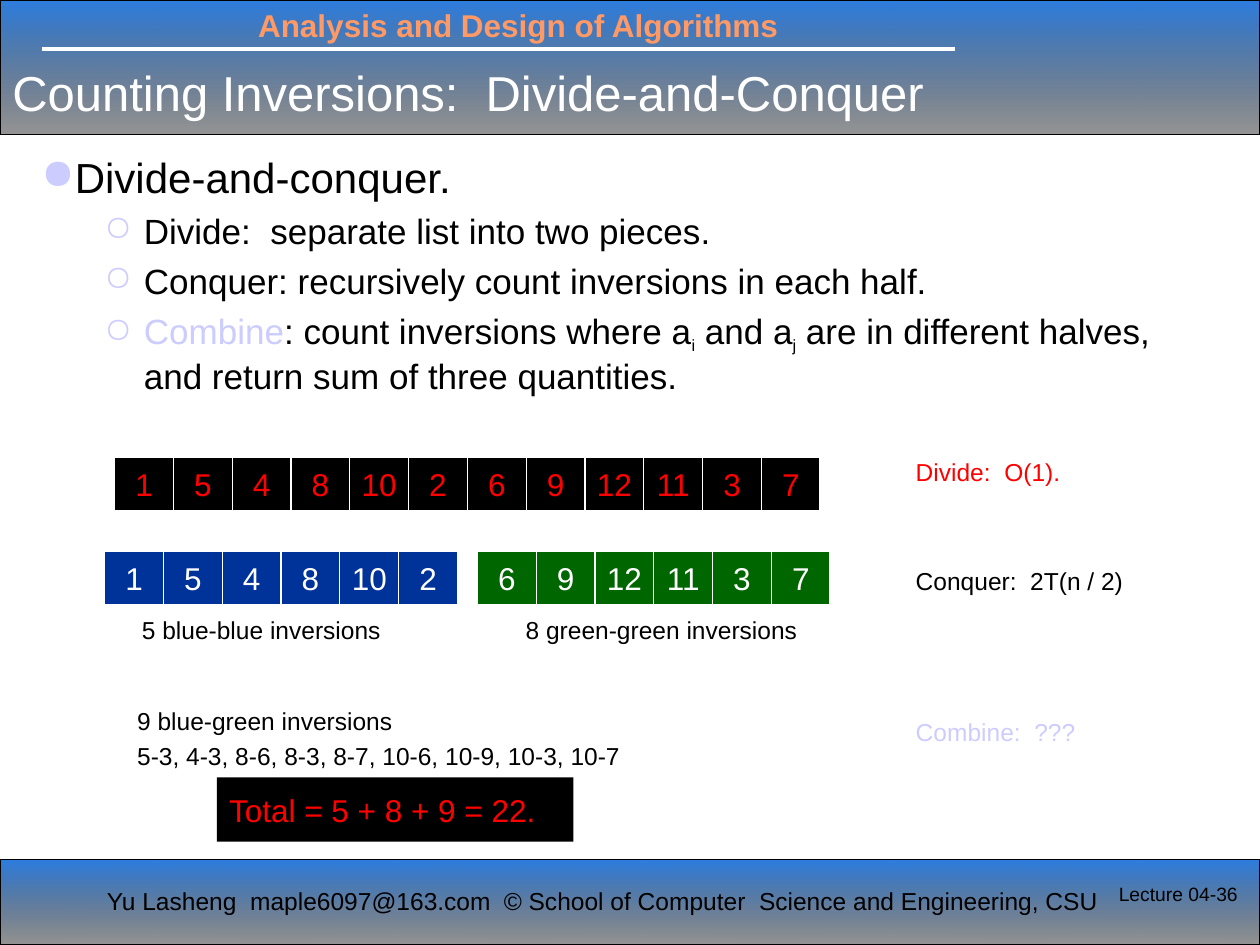
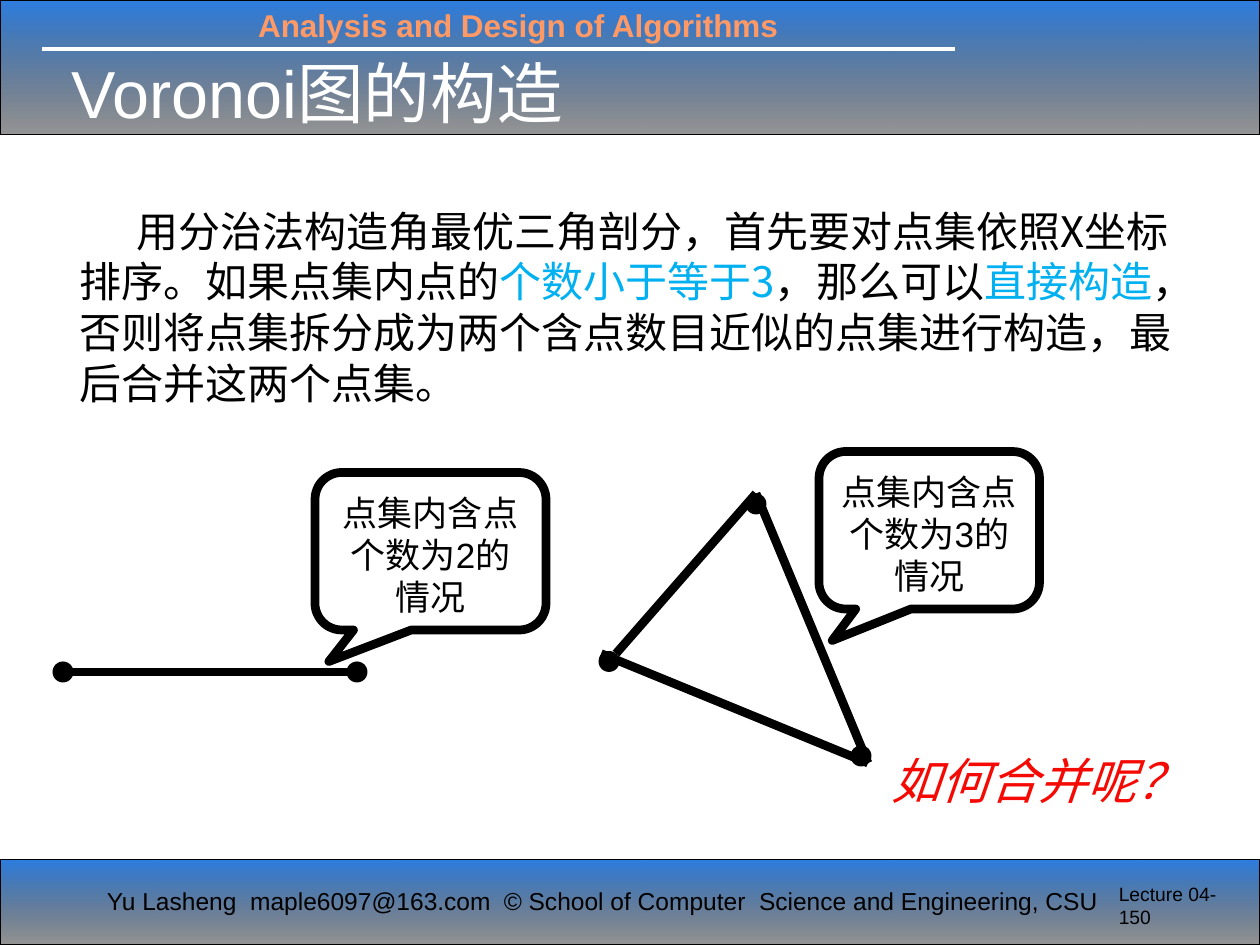
from collections import namedtuple

from lxml.etree import SubElement
from pptx import Presentation
from pptx.dml.color import RGBColor
from pptx.enum.shapes import MSO_CONNECTOR as Connector, MSO_SHAPE as Shape
from pptx.enum.text import MSO_ANCHOR as Anchor, PP_ALIGN as Align
from pptx.oxml.ns import qn
from pptx.util import Pt

BLACK = RGBColor(0x00, 0x00, 0x00)
WHITE = RGBColor(0xFF, 0xFF, 0xFF)
RED = RGBColor(0xFF, 0x00, 0x00)
QUESTION_RED = RGBColor(0xF5, 0x09, 0x03)
BAND_BLUE = RGBColor(0x0E, 0x6B, 0xDC)
ORANGE = RGBColor(0xFF, 0x99, 0x66)
LAVENDER = RGBColor(0xCC, 0xCC, 0xFF)
LIST_BLUE = RGBColor(0x00, 0x33, 0x99)
LIST_GREEN = RGBColor(0x00, 0x66, 0x00)
SKY = RGBColor(0x00, 0xB0, 0xF0)

LATIN = "Arial"
CHINESE = "Noto Sans CJK SC"
CHINESE_ITALIC = "Noto Sans CJK JP"
CHINESE_PITCH = 1.21
CHINESE_INSET = 6

Box = namedtuple("Box", "left top width height")
PAGE = Box(0, 0, 720, 540)
HEADER = Box(0, 0, 720, 77)
FOOTER = Box(0, 491, 720, 49)
NUMBERS = [1, 5, 4, 8, 10, 2, 6, 9, 12, 11, 3, 7]
CELL_WIDTH = 33.6
CELL_HEIGHT = 30.2
DOT = 12


def inside(box, left, top, width, height):
    """Return a box offset from the corner of another box."""
    return Box(box.left + left, box.top + top, width, height)


def points(box):
    """Convert a box to lengths in points."""
    return [Pt(value) for value in box]


def add_run(paragraph, text, size, color=BLACK, font=LATIN, chinese=CHINESE,
            bold=False, italic=False, baseline=0):
    """Add one formatted run to a paragraph."""
    run = paragraph.add_run()
    run.text = text
    run.font.size = Pt(size)
    run.font.name = font
    run.font.bold = bold
    run.font.italic = italic
    run.font.color.rgb = color
    properties = run._r.get_or_add_rPr()
    if baseline:
        properties.set("baseline", str(baseline * 1000))
    if not text.isascii():
        latin = properties.find(qn("a:latin"))
        east_asian = SubElement(properties, qn("a:ea"))
        east_asian.set("typeface", chinese)
        latin.addnext(east_asian)


def set_frame(shape, anchor=Anchor.TOP, side=7.2, top=3.6):
    """Set wrapping, anchor and insets, and return the text frame."""
    frame = shape.text_frame
    frame.word_wrap = True
    frame.vertical_anchor = anchor
    frame.margin_left = frame.margin_right = Pt(side)
    frame.margin_top = Pt(top)
    frame.margin_bottom = Pt(3.6)
    return frame


def add_text(slide, box, text, size, color=BLACK, anchor=Anchor.TOP,
             align=Align.LEFT, bold=False):
    """Add a text box holding one run."""
    frame = set_frame(slide.shapes.add_textbox(*points(box)), anchor)
    paragraph = frame.paragraphs[0]
    paragraph.alignment = align
    add_run(paragraph, text, size, color, bold=bold)


def add_shape(slide, kind, box, fill=None, line=None, weight=0.75):
    """Add a preset shape without a shadow."""
    shape = slide.shapes.add_shape(kind, *points(box))
    shape.shadow.inherit = False
    if fill is None:
        shape.fill.background()
    else:
        shape.fill.solid()
        shape.fill.fore_color.rgb = fill
    if line is None:
        shape.line.fill.background()
    else:
        shape.line.color.rgb = line
        shape.line.width = Pt(weight)
    return shape


def add_line(slide, start, end, color, weight):
    """Add a straight connector between two points."""
    ends = [Pt(value) for value in (*start, *end)]
    line = slide.shapes.add_connector(Connector.STRAIGHT, *ends)
    line.line.color.rgb = color
    line.line.width = Pt(weight)
    SubElement(line._element.spPr, qn("a:effectLst"))


def add_band(slide, box):
    """Add a translucent band that fades from blue to black."""
    band = add_shape(slide, Shape.RECTANGLE, box, line=BLACK)
    band.fill.gradient()
    band.fill.gradient_angle = 270
    stops = ((0, BAND_BLUE, 88), (1, BLACK, 41))
    for stop, (position, color, _) in zip(band.fill.gradient_stops, stops):
        stop.position = position
        stop.color.rgb = color
    gradient = band._element.spPr.find(qn("a:gradFill"))
    for element, (_, _, opacity) in zip(gradient.iter(qn("a:srgbClr")), stops):
        SubElement(element, qn("a:alpha")).set("val", str(opacity * 1000))


def add_header(slide, box, title, size, indent):
    """Add the course name, its rule and the slide title."""
    add_line(slide, (box.left + 24, box.top + 28), (box.left + 546, box.top + 28), WHITE, 2.25)
    add_text(slide, inside(box, 140.4, 0, 360, 28.8), "Analysis and Design of Algorithms",
             18, ORANGE, bold=True)
    add_text(slide, inside(box, indent, 28, 596 - indent, 49), title, size, WHITE, Anchor.MIDDLE)


def add_footer(slide, box, number):
    """Add the author, the school and the lecture number."""
    add_text(slide, inside(box, 54, 11.6, 240, 25), "Yu Lasheng  maple6097@163.com", 14)
    add_text(slide, inside(box, 280.8, 11.6, 368.6, 25),
             "© School of Computer  Science and Engineering, CSU", 14)
    add_text(slide, inside(box, 632.2, 9.4, 87.8, 36), f"Lecture 04-{number}", 11)


def add_slide(presentation, title, size, indent, number):
    """Add a blank slide with the shared bands, header and footer."""
    slide = presentation.slides.add_slide(presentation.slide_layouts[6])
    for box in (HEADER, FOOTER):
        add_band(slide, box)
    add_header(slide, HEADER, title, size, indent)
    add_footer(slide, FOOTER, number)
    return slide


def set_bullet(paragraph, symbol, margin=0, indent=0):
    """Give a paragraph a coloured bullet and its indents."""
    properties = paragraph._p.get_or_add_pPr()
    properties.set("marL", str(Pt(margin)))
    properties.set("indent", str(Pt(indent)))
    color = SubElement(properties, qn("a:buClr"))
    SubElement(color, qn("a:srgbClr")).set("val", str(LAVENDER))
    SubElement(properties, qn("a:buChar")).set("char", symbol)


def add_steps(slide, box):
    """Add the bulleted outline of the three steps."""
    frame = set_frame(slide.shapes.add_textbox(*points(box)))
    heading = frame.paragraphs[0]
    set_bullet(heading, "●")
    add_run(heading, "Divide-and-conquer.", 24)
    steps = [
        [("Divide:  separate list into two pieces.", {})],
        [("Conquer: recursively count inversions in each half.", {})],
        [("Combine", {"color": LAVENDER}), (": count inversions where a", {}),
         ("i", {"size": 16, "baseline": -25}), (" and a", {}),
         ("j", {"size": 16, "baseline": -25}),
         (" are in different halves, and return sum of three quantities.", {})],
    ]
    for step in steps:
        paragraph = frame.add_paragraph()
        set_bullet(paragraph, "○", 58.5, -22.5)
        paragraph.space_before = Pt(4.6)
        for text, style in step:
            add_run(paragraph, text, **{"size": 20, **style})


def add_number_list(slide, left, top, numbers, fill, color):
    """Add a row of touching cells, one for each number."""
    for index, number in enumerate(numbers):
        box = Box(left + index * CELL_WIDTH, top, CELL_WIDTH, CELL_HEIGHT)
        cell = add_shape(slide, Shape.RECTANGLE, box, fill, WHITE)
        paragraph = set_frame(cell, Anchor.MIDDLE, side=0).paragraphs[0]
        paragraph.alignment = Align.CENTER
        add_run(paragraph, str(number), 18, color)


def add_halves(slide, box):
    """Add the whole list, its two halves and the counts below them."""
    half = len(NUMBERS) // 2
    add_number_list(slide, box.left + 5.7, box.top, NUMBERS, BLACK, RED)
    add_number_list(slide, box.left, box.top + 53.8, NUMBERS[:half], LIST_BLUE, WHITE)
    add_number_list(slide, box.left + 213, box.top + 53.8, NUMBERS[half:], LIST_GREEN, WHITE)
    for left, width, text in ((11.5, 156.2, "5 blue-blue inversions"),
                              (230.4, 175.7, "8 green-green inversions")):
        add_text(slide, inside(box, left, 84.8, width, 26.6), text, 14,
                 anchor=Anchor.MIDDLE, align=Align.CENTER)


def add_costs(slide, box):
    """Add the running time of each step."""
    for top, text, color in ((0, "Divide:  O(1).", RED), (62.4, "Conquer:  2T(n / 2)", BLACK),
                             (148.8, "Combine:  ???", LAVENDER)):
        add_text(slide, inside(box, 0, top, box.width, 26), text, 14, color, Anchor.MIDDLE)


def add_total(slide, box):
    """Add the inversions across both halves and the total."""
    frame = set_frame(slide.shapes.add_textbox(*points(box)), Anchor.MIDDLE)
    lines = ("9 blue-green inversions", "5-3, 4-3, 8-6, 8-3, 8-7, 10-6, 10-9, 10-3, 10-7")
    for index, text in enumerate(lines):
        paragraph = frame.add_paragraph() if index else frame.paragraphs[0]
        paragraph.line_spacing = 1.2
        add_run(paragraph, text, 14)
    total = add_shape(slide, Shape.RECTANGLE, inside(box, 52.6, 51.2, 203.8, 36.7), BLACK)
    paragraph = set_frame(total, Anchor.MIDDLE).paragraphs[0]
    paragraph.alignment = Align.LEFT
    add_run(paragraph, "Total = 5 + 8 + 9 = 22.", 18, RED)


def fill_chinese(frame, runs, size, align, font=CHINESE, **style):
    """Fill a frame with one evenly spaced Chinese paragraph."""
    paragraph = frame.paragraphs[0]
    paragraph.alignment = align
    paragraph.line_spacing = Pt(round(size * CHINESE_PITCH, 1))
    for text, color in runs:
        add_run(paragraph, text, size, color, font, **style)
    return paragraph


def add_explanation(slide, box):
    """Add the paragraph that explains how the point set is split."""
    frame = set_frame(slide.shapes.add_textbox(*points(box)), top=CHINESE_INSET)
    runs = [
        ("用分治法构造角最优三角剖分，首先要对点集依照X坐标排序。如果点集内点的", BLACK),
        ("个数小于等于3", SKY), ("，那么可以", BLACK), ("直接构造", SKY),
        ("，否则将点集拆分成为两个含点数目近似的点集进行构造，最后合并这两个点集。", BLACK),
    ]
    paragraph = fill_chinese(frame, runs, 24, Align.LEFT)
    paragraph._p.get_or_add_pPr().set("indent", str(Pt(32.5)))


def add_dots(slide, box, corners):
    """Add a round dot at each corner inside the box."""
    for left, top in corners:
        add_shape(slide, Shape.OVAL, inside(box, left, top, DOT, DOT), BLACK)


def add_callout(slide, box, count):
    """Add a rounded callout naming the number of points."""
    callout = add_shape(slide, Shape.ROUNDED_RECTANGULAR_CALLOUT, box, line=BLACK, weight=5)
    for index, value in enumerate((-0.44, 0.7, 0.17)):
        callout.adjustments[index] = value
    frame = set_frame(callout, top=CHINESE_INSET)
    fill_chinese(frame, [(f"点集内含点个数为{count}的情况", BLACK)], 20, Align.CENTER, LATIN)


def add_segment_case(slide, box):
    """Add the case of two points joined by a segment."""
    middle = box.top + 114
    add_dots(slide, box, ((0, 108), (168, 108)))
    add_line(slide, (box.left + 6, middle), (box.left + 174, middle), BLACK, 5)
    add_callout(slide, inside(box, 150, 0, 132, 90), 2)


def add_triangle_case(slide, box):
    """Add the case of three points joined as a triangle."""
    add_dots(slide, box, ((0, 114), (84, 24), (144, 168)))
    sides = (((90, 24), (10, 115.5)), ((1.5, 115.5), (154, 178)), ((90, 24), (154, 178)))
    for side in sides:
        start, end = [(box.left + x, box.top + y) for x, y in side]
        add_line(slide, start, end, BLACK, 5)
    add_callout(slide, inside(box, 126, 0, 126, 90), 3)


def add_question(slide, box):
    """Add the closing question in red italics."""
    frame = set_frame(slide.shapes.add_textbox(*points(box)), top=CHINESE_INSET)
    fill_chinese(frame, [("如何合并呢？", QUESTION_RED)], 28, Align.CENTER,
                 CHINESE_ITALIC, chinese=CHINESE_ITALIC, italic=True)


def build_inversions(presentation):
    """Build the slide on counting inversions."""
    slide = add_slide(presentation, "Counting Inversions:  Divide-and-Conquer", 28, 0, 36)
    add_steps(slide, Box(16.6, 82.8, 680.4, 160))
    add_halves(slide, Box(59.8, 261.5, 415, 111))
    add_costs(slide, Box(516.2, 256.3, 156, 175))
    add_total(slide, Box(71.3, 393, 408, 54))


def build_voronoi(presentation):
    """Build the slide on constructing a Voronoi diagram."""
    slide = add_slide(presentation, "Voronoi图的构造", 38, 33.8, 150)
    add_explanation(slide, Box(38.2, 111, 648, 124))
    add_question(slide, Box(501, 422.6, 185, 64))
    add_segment_case(slide, Box(30, 270, 282, 120))
    add_triangle_case(slide, Box(342, 258, 252, 180))


def main():
    """Build and save the presentation."""
    presentation = Presentation()
    presentation.slide_width = Pt(PAGE.width)
    presentation.slide_height = Pt(PAGE.height)
    build_inversions(presentation)
    build_voronoi(presentation)
    presentation.save("out.pptx")


if __name__ == "__main__":
    main()
